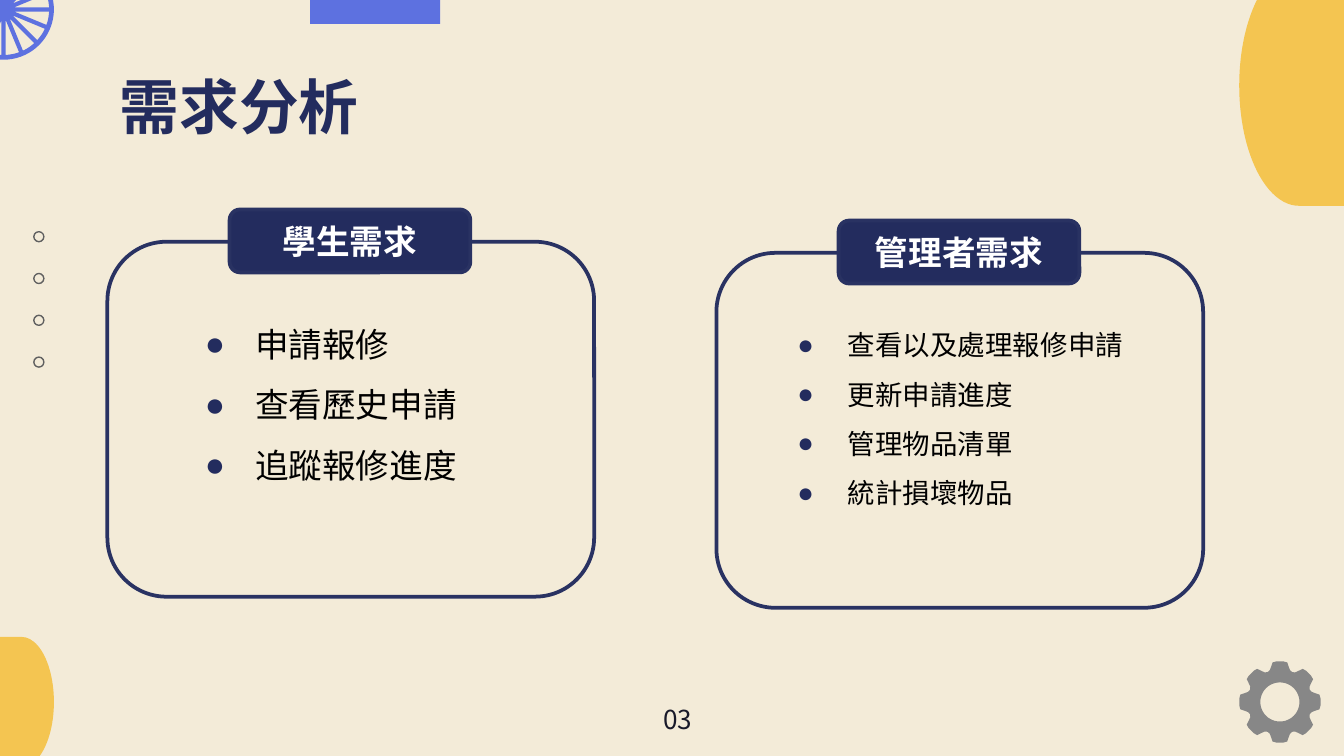
import math
from dataclasses import dataclass

from lxml import etree
from pptx import Presentation
from pptx.dml.color import RGBColor
from pptx.enum import shapes, text
from pptx.oxml import ns
from pptx.util import Cm, Pt

FONT = "Noto Sans CJK SC"
CREAM = RGBColor(0xF3, 0xEB, 0xD8)
NAVY = RGBColor(0x23, 0x2C, 0x5E)
OUTLINE = RGBColor(0x29, 0x32, 0x62)
YELLOW = RGBColor(0xF4, 0xC5, 0x51)
BLUE = RGBColor(0x5D, 0x71, 0xE0)
GRAY = RGBColor(0x87, 0x87, 0x87)
DARK_GRAY = RGBColor(0x60, 0x60, 0x60)
INK = RGBColor(0x19, 0x1A, 0x2A)
BLACK = RGBColor(0, 0, 0)
WHITE = RGBColor(255, 255, 255)
KIND = shapes.MSO_SHAPE


@dataclass(frozen=True)
class Box:
    left: float
    top: float
    width: float
    height: float

    def lengths(self) -> list:
        return [Cm(v) for v in (self.left, self.top, self.width, self.height)]


@dataclass(frozen=True)
class Card:
    label: str
    left: float
    top: float
    list_box: Box
    items: tuple
    size: float
    line_height: float
    space_before: float


CARDS = (
    Card("學生需求", 2.03, 4.57, Box(3.3, 5.49, 6.6, 4.85),
         ("申請報修", "查看歷史申請", "追蹤報修進度"), 18, 32.4, 2),
    Card("管理者需求", 13.54, 4.78, Box(14.5, 5.64, 8.43, 4.95),
         ("查看以及處理報修申請", "更新申請進度", "管理物品清單", "統計損壞物品"), 14.7, 26.5, 1),
)


def place(shape, box: Box) -> None:
    shape.left, shape.top, shape.width, shape.height = box.lengths()


def style(shape, fill=None, line=None, weight: float = 0) -> None:
    shape.shadow.inherit = False
    if fill is None:
        shape.fill.background()
    else:
        shape.fill.solid()
        shape.fill.fore_color.rgb = fill
    if line is None:
        shape.line.fill.background()
    else:
        shape.line.color.rgb = line
        shape.line.width = Pt(weight)


def add_preset(slide, kind, box: Box, **look):
    shape = slide.shapes.add_shape(kind, *box.lengths())
    style(shape, **look)
    return shape


def write(paragraph, words: str, size: float, color: RGBColor, bold: bool = False) -> None:
    run = paragraph.add_run()
    run.text = words
    run.font.size = Pt(size)
    run.font.bold = bold
    run.font.color.rgb = color
    run.font.name = FONT
    properties = run.font._element
    etree.SubElement(properties, ns.qn("a:ea")).set("typeface", FONT)


def add_bullet(paragraph) -> None:
    properties = paragraph._p.get_or_add_pPr()
    properties.set("marL", str(Cm(1.27)))
    properties.set("indent", str(Cm(-0.95)))
    color = etree.SubElement(properties, ns.qn("a:buClr"))
    etree.SubElement(color, ns.qn("a:srgbClr")).set("val", str(NAVY))
    etree.SubElement(properties, ns.qn("a:buChar")).set("char", "●")


def fill_list(placeholder, card: Card) -> None:
    place(placeholder, card.list_box)
    frame = placeholder.text_frame
    frame.auto_size = text.MSO_AUTO_SIZE.NONE
    frame.vertical_anchor = text.MSO_ANCHOR.TOP
    frame.margin_left = frame.margin_right = Cm(0.25)
    frame.margin_top = frame.margin_bottom = Cm(0.25)
    for index, item in enumerate(card.items):
        paragraph = frame.add_paragraph() if index else frame.paragraphs[0]
        paragraph.line_spacing = Pt(card.line_height)
        paragraph.space_before = Pt(0 if index else card.space_before)
        add_bullet(paragraph)
        write(paragraph, item, card.size, BLACK)


def add_card(slide, card: Card) -> None:
    add_preset(slide, KIND.ROUNDED_RECTANGLE, Box(card.left, card.top, 9.2, 6.71),
               line=OUTLINE, weight=2)
    label = add_preset(slide, KIND.ROUNDED_RECTANGLE,
                       Box(card.left + 2.31, card.top - 0.61, 4.55, 1.19),
                       fill=NAVY, line=OUTLINE, weight=2)
    paragraph = label.text_frame.paragraphs[0]
    paragraph.alignment = text.PP_ALIGN.CENTER
    write(paragraph, card.label, 18, WHITE, bold=True)


def arc(radius: float, start: float, end: float, steps: int) -> list:
    """Polar points (degrees, radius) from start to end."""
    return [(start + (end - start) * i / steps, radius) for i in range(steps + 1)]


def add_polar_outline(slide, center: tuple, contours: list, fill: RGBColor) -> None:
    """Draw closed contours of (degrees, radius in cm); inner ones are holes."""
    builder = None
    for contour in contours:
        points = [(Cm(center[0] + r * math.cos(math.radians(a))),
                   Cm(center[1] + r * math.sin(math.radians(a)))) for a, r in contour]
        if builder is None:
            builder = slide.shapes.build_freeform(*points[0])
        else:
            builder.move_to(*points[0])
        builder.add_line_segments(points[1:], close=True)
    style(builder.convert_to_shape(), fill=fill)


def add_wheel(slide) -> None:
    spokes, rim, half_spoke = 16, 0.86, 0.04
    step = 360 / spokes
    apex = half_spoke / math.sin(math.radians(step / 2))
    edge = math.degrees(math.asin(half_spoke / rim))
    contours = [arc(0.95, 0, 360, 72)]
    for spoke in range(spokes):
        angle = spoke * step
        contours.append([(angle + step / 2, apex)]
                        + arc(rim, angle + edge, angle + step - edge, 6))
    add_polar_outline(slide, (0.07, 0.18), contours, BLUE)


def add_gear(slide) -> None:
    half_tooth = [(22.5, 0.61), (17.7, 0.63), (13.8, 0.69), (10.5, 0.76), (5, 0.77)]
    tooth = [(-a, r) for a, r in half_tooth] + half_tooth[::-1]
    rim = [(45 * i + a, r) for i in range(8) for a, r in tooth]
    add_polar_outline(slide, (24.19, 13.27), [rim, arc(0.37, 0, 360, 48)], GRAY)


def add_decoration(slide) -> None:
    add_gear(slide)
    sun = add_preset(slide, KIND.FLOWCHART_DELAY, Box(23.42, -0.66, 2.26, 4.55), fill=YELLOW)
    sun.rotation = 180
    add_preset(slide, KIND.FLOWCHART_DELAY, Box(-0.2, 12.04, 1.22, 2.46), fill=YELLOW)
    for row in range(4):
        add_preset(slide, KIND.OVAL, Box(0.64, 4.38 + 0.79 * row, 0.19, 0.19),
                   line=DARK_GRAY, weight=0.75)
    add_preset(slide, KIND.RECTANGLE, Box(5.86, -0.69, 2.46, 1.14), fill=BLUE)
    add_wheel(slide)


def add_title(slide) -> None:
    title = slide.shapes.title
    place(title, Box(2.01, 1.24, 21.41, 1.6))
    frame = title.text_frame
    frame.auto_size = text.MSO_AUTO_SIZE.NONE
    frame.vertical_anchor = text.MSO_ANCHOR.TOP
    frame.margin_left = frame.margin_right = Cm(0.25)
    frame.margin_top, frame.margin_bottom = Cm(0.08), Cm(0)
    frame.paragraphs[0].alignment = text.PP_ALIGN.LEFT
    write(frame.paragraphs[0], "需求分析", 32, NAVY, bold=True)


def add_page_number(slide) -> None:
    frame = slide.shapes.add_textbox(*Box(12.27, 13.18, 1.09, 0.86).lengths()).text_frame
    frame.word_wrap = False
    frame.paragraphs[0].alignment = text.PP_ALIGN.CENTER
    write(frame.paragraphs[0], "03", 14, INK)


def main() -> None:
    presentation = Presentation()
    presentation.slide_width, presentation.slide_height = Cm(25.4), Cm(14.29)
    slide = presentation.slides.add_slide(presentation.slide_layouts[3])
    slide.background.fill.solid()
    slide.background.fill.fore_color.rgb = CREAM
    add_decoration(slide)
    add_title(slide)
    for index, card in enumerate(CARDS, start=1):
        fill_list(slide.placeholders[index], card)
        add_card(slide, card)
    add_page_number(slide)
    presentation.save("out.pptx")


if __name__ == "__main__":
    main()
